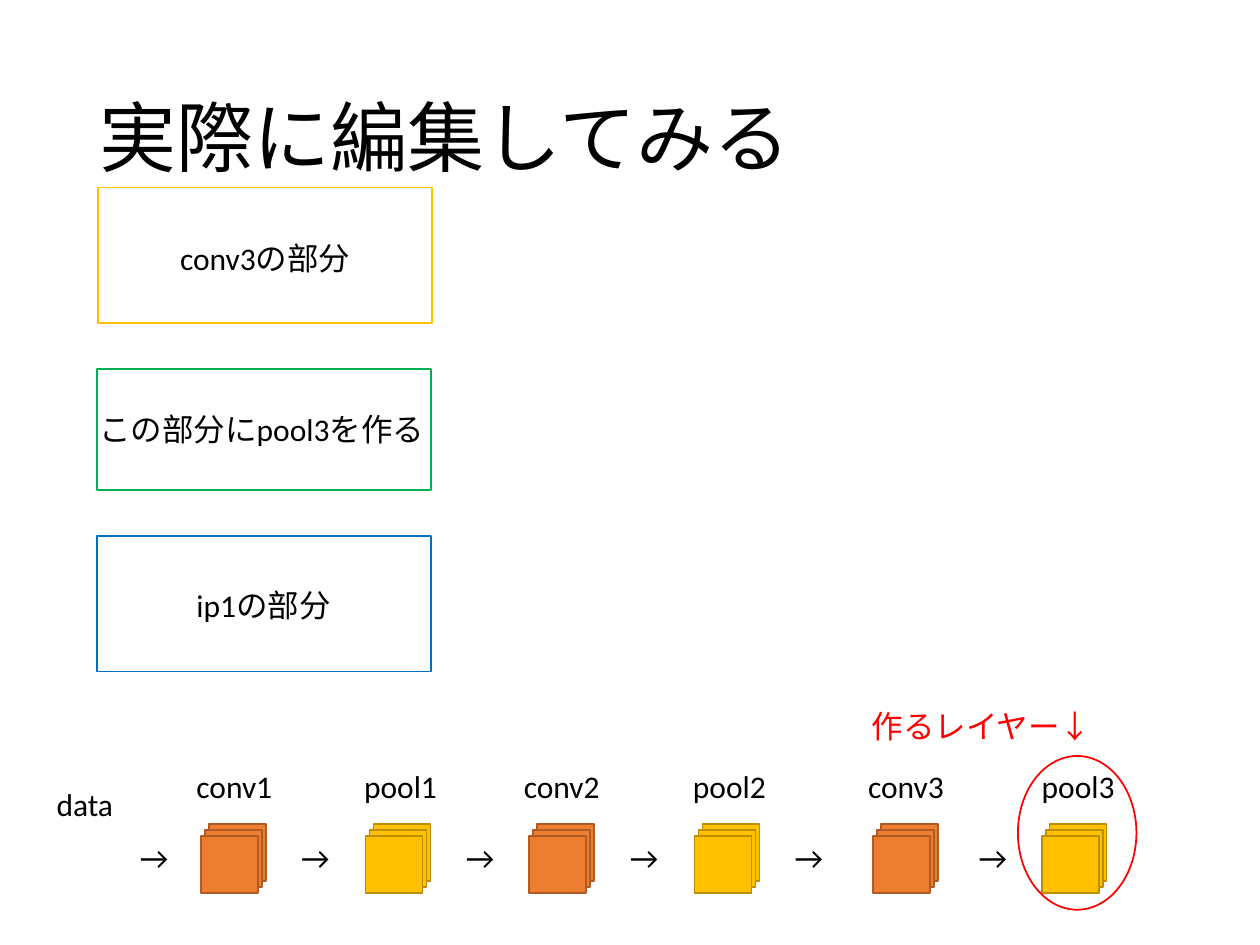
from pptx import Presentation
from pptx.dml.color import RGBColor
from pptx.enum.shapes import MSO_SHAPE
from pptx.enum.text import MSO_ANCHOR, MSO_AUTO_SIZE, PP_ALIGN
from pptx.util import Cm, Pt

RECTANGLE = MSO_SHAPE.RECTANGLE
OVAL = MSO_SHAPE.OVAL
MIDDLE = MSO_ANCHOR.MIDDLE
NO_AUTOFIT = MSO_AUTO_SIZE.NONE
LEFT = PP_ALIGN.LEFT

BLACK = RGBColor(0x00, 0x00, 0x00)
RED = RGBColor(0xFF, 0x00, 0x00)
GREEN = RGBColor(0x00, 0xB0, 0x50)
BLUE = RGBColor(0x00, 0x70, 0xC0)
YELLOW = RGBColor(0xFF, 0xC0, 0x00)
DARK_YELLOW = RGBColor(0xBD, 0x8E, 0x00)
ORANGE = RGBColor(0xED, 0x7D, 0x31)
DARK_ORANGE = RGBColor(0xAF, 0x5C, 0x24)
FONT = "Calibri"


def add_label(text, left, top, width, color=BLACK, wrap=False):
    box = slide.shapes.add_textbox(Cm(left), Cm(top), Cm(width), Cm(1.02))
    box.text_frame.word_wrap = wrap
    box.text_frame.text = text
    font = box.text_frame.paragraphs[0].runs[0].font
    font.name = FONT
    font.size = Pt(18)
    font.color.rgb = color


def add_outline(shapes, kind, left, top, width, height, line, fill=None):
    shape = shapes.add_shape(kind, Cm(left), Cm(top), Cm(width), Cm(height))
    shape.shadow.inherit = False
    if fill is None:
        shape.fill.background()
    else:
        shape.fill.solid()
        shape.fill.fore_color.rgb = fill
    shape.line.color.rgb = line
    shape.line.width = Pt(1)


presentation = Presentation()
presentation.slide_width = Cm(25.4)
presentation.slide_height = Cm(19.05)
slide = presentation.slides.add_slide(presentation.slide_layouts[5])

title = slide.shapes.title
title.left, title.top, title.width, title.height = Cm(1.75), Cm(1.01), Cm(21.9), Cm(3.68)
title.text_frame.text = "実際に編集してみる"
title.text_frame.auto_size = NO_AUTOFIT
title.text_frame.vertical_anchor = MIDDLE
paragraph = title.text_frame.paragraphs[0]
paragraph.alignment = LEFT
paragraph.line_spacing = 0.9
title_font = paragraph.runs[0].font
title_font.name = FONT
title_font.size = Pt(44)
title_font.color.rgb = BLACK

sections = [
    ("conv3の部分", 3.38, 4.7, 3.99, 1.98, 3.78, 2.74, YELLOW),
    ("この部分にpool3を作る", 1.75, 8.15, 7.14, 1.96, 7.44, 2.44, GREEN),
    ("ip1の部分", 3.71, 11.68, 3.25, 1.96, 10.8, 2.74, BLUE),
]
for text, text_left, text_top, text_width, left, top, height, color in sections:
    add_outline(slide.shapes, RECTANGLE, left, top, 6.73, height, color)
    add_label(text, text_left, text_top, text_width, wrap=True)

add_label("data", 0.89, 15.7, 1.68)

layers = [
    ("conv1", 2.57, 3.71, 4.06),
    ("pool1", 5.82, 7.09, 7.37),
    ("conv2", 9.14, 10.31, 10.67),
    ("pool2", 12.45, 13.72, 14.0),
    ("conv3", 15.77, 17.25, 17.6),
    ("pool3", 19.48, 20.75, 21.0),
]
for name, arrow_left, label_left, stack_left in layers:
    fill, line = (ORANGE, DARK_ORANGE) if name.startswith("conv") else (YELLOW, DARK_YELLOW)
    add_label("→", arrow_left, 16.77, 1.09)
    add_label(name, label_left, 15.33, 2.03)
    stack = slide.shapes.add_group_shape()
    for depth in (2, 1, 0):
        add_outline(stack.shapes, RECTANGLE, stack_left + 0.08 * depth,
                    16.85 - 0.12 * depth, 1.15, 1.15, line, fill)

add_label("作るレイヤー↓", 17.32, 14.12, 4.93, RED)
add_outline(slide.shapes, OVAL, 20.52, 15.24, 2.39, 3.1, RED)

presentation.save("out.pptx")
